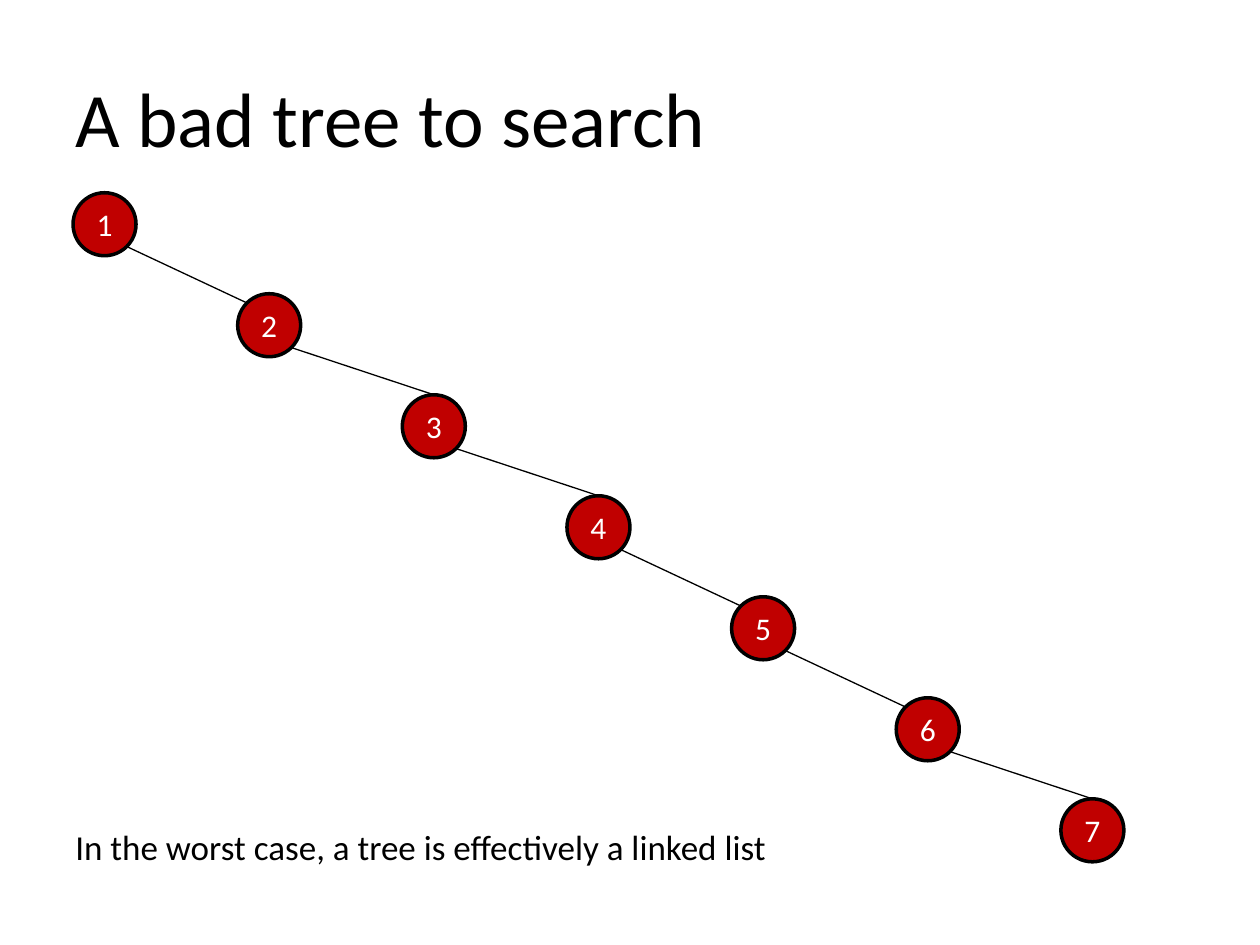
from pptx import Presentation
from pptx.dml.color import RGBColor
from pptx.enum.shapes import MSO_CONNECTOR, MSO_SHAPE
from pptx.enum.text import MSO_ANCHOR, PP_ALIGN
from pptx.oxml.ns import qn
from pptx.util import Inches, Pt
from lxml import etree

LEFT, CENTER = PP_ALIGN.LEFT, PP_ALIGN.CENTER
TOP, MIDDLE = MSO_ANCHOR.TOP, MSO_ANCHOR.MIDDLE
OVAL, STRAIGHT = MSO_SHAPE.OVAL, MSO_CONNECTOR.STRAIGHT
COLORS = {"ink": "000000", "node": "C00000", "label": "FFFFFF"}


def color(name):
    return RGBColor.from_string(COLORS[name])


def write(frame, text, size=18, ink="ink", align=LEFT, anchor=TOP, wrap=True):
    frame.word_wrap = wrap
    frame.vertical_anchor = anchor
    para = frame.paragraphs[0]
    para.alignment = align
    run = para.add_run()
    run.text = text
    run.font.name = "Calibri"
    run.font.size = Pt(size)
    run.font.color.rgb = color(ink)


class Page:
    def __init__(self, slide):
        self.slide = slide
        self.shapes = slide.shapes

    def title(self, text, *box):
        shape = self.shapes.title
        shape.left, shape.top, shape.width, shape.height = map(Inches, box)
        write(shape.text_frame, text, size=44, anchor=MIDDLE)

    def note(self, text, *box):
        shape = self.shapes.add_textbox(*map(Inches, box))
        write(shape.text_frame, text, size=20)

    def node(self, text, x, y, size):
        """Draw a numbered circle centred on x, y."""
        box = (x - size / 2, y - size / 2, size, size)
        shape = self.shapes.add_shape(OVAL, *map(Inches, box))
        shape.shadow.inherit = False
        shape.fill.solid()
        shape.fill.fore_color.rgb = color("node")
        shape.line.color.rgb = color("ink")
        shape.line.width = Pt(2)
        write(shape.text_frame, text, ink="label", align=CENTER,
              anchor=MIDDLE, wrap=False)

    def edge(self, *ends):
        line = self.shapes.add_connector(STRAIGHT, *map(Inches, ends))
        line.line.color.rgb = color("ink")
        line.line.width = Pt(0.75)
        props = line._element.find(qn("p:spPr"))
        etree.SubElement(props, qn("a:effectLst"))


deck = Presentation()
deck.slide_width, deck.slide_height = Inches(10), Inches(7.5)
page = Page(deck.slides.add_slide(deck.slide_layouts[5]))
page.title("A bad tree to search", 0.5, 0.3, 9, 1.25)

# Node centres run down a diagonal
COUNT, SIZE = 7, 0.5
FIRST, LAST = (0.83, 1.78), (8.67, 6.59)
STEP = [(b - a) / (COUNT - 1) for a, b in zip(FIRST, LAST)]
spots = [(FIRST[0] + i * STEP[0], FIRST[1] + i * STEP[1])
         for i in range(COUNT)]

# Edges leave at lower right and arrive at the top or upper left
DIAG = SIZE / 2 * 0.71
AT_TOP = {3, 4, 7}
for child, ((x, y), (cx, cy)) in enumerate(zip(spots, spots[1:]), 2):
    dx, dy = (0, SIZE / 2) if child in AT_TOP else (DIAG, DIAG)
    page.edge(x + DIAG, y + DIAG, cx - dx, cy - dy)

for label, (x, y) in enumerate(spots, 1):
    page.node(str(label), x, y, SIZE)

# Closing remark
page.note("In the worst case, a tree is effectively a linked list",
          0.5, 6.5, 5.75, 0.44)

deck.save("out.pptx")
